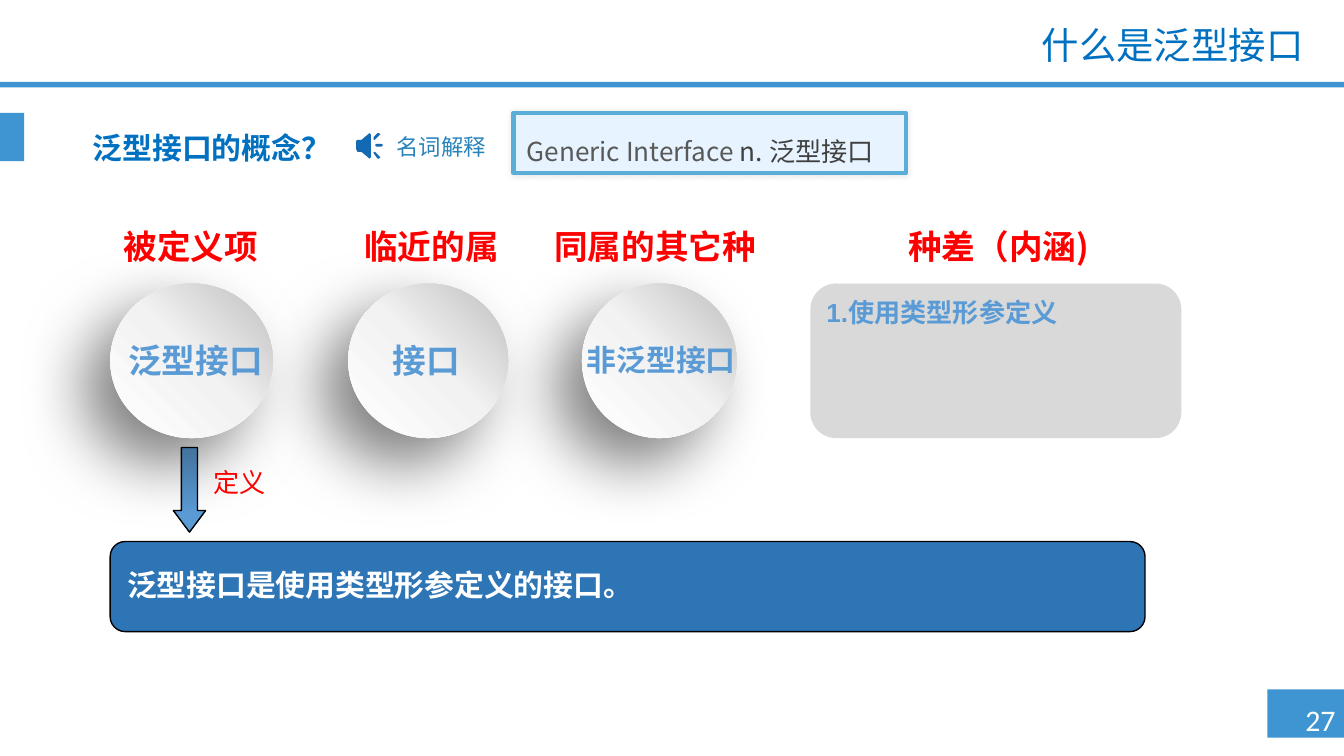
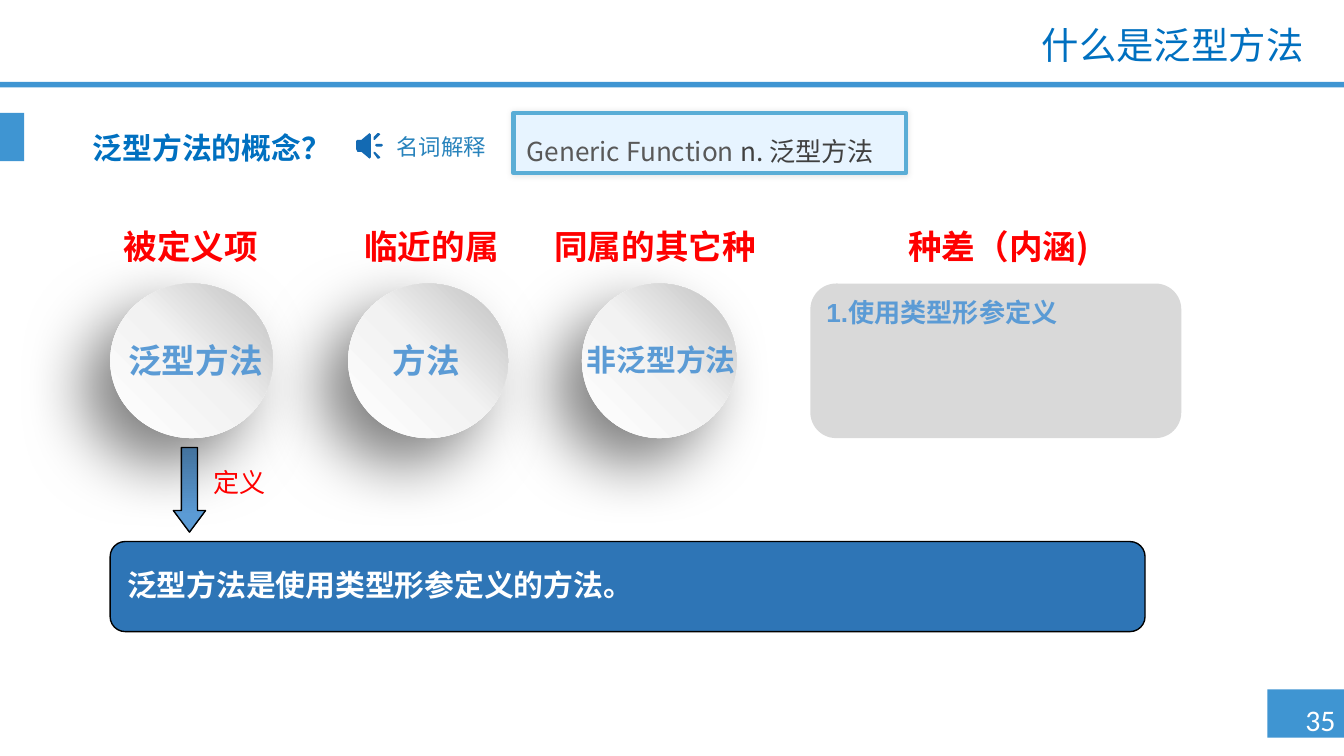
from dataclasses import dataclass
from typing import NamedTuple

from lxml import etree
from pptx import Presentation
from pptx.dml.color import RGBColor
from pptx.enum.shapes import MSO_SHAPE
from pptx.enum.text import MSO_ANCHOR, MSO_AUTO_SIZE, PP_ALIGN
from pptx.oxml.ns import qn
from pptx.util import Inches, Pt

RECT, ROUND = MSO_SHAPE.RECTANGLE, MSO_SHAPE.ROUNDED_RECTANGLE
OVAL, DOWN_ARROW = MSO_SHAPE.OVAL, MSO_SHAPE.DOWN_ARROW
LEFT, CENTER, RIGHT = PP_ALIGN.LEFT, PP_ALIGN.CENTER, PP_ALIGN.RIGHT
TOP, MIDDLE = MSO_ANCHOR.TOP, MSO_ANCHOR.MIDDLE
GROW = MSO_AUTO_SIZE.SHAPE_TO_FIT_TEXT


# Colours, fonts and type sizes
@dataclass(frozen=True)
class Theme:
    band: str = "3F95D2"
    title: str = "0070C0"
    heading: str = "FF0000"
    label: str = "5B9BD5"
    panel: str = "D9D9D9"
    answer: str = "2E75B6"
    icon: str = "136AB3"
    hint: str = "2883BC"
    glossary: str = "E7F4FF"
    glossary_line: str = "5AADD6"
    english: str = "595959"
    chinese: str = "404040"
    white: str = "FFFFFF"
    black: str = "000000"
    ball: tuple = ((0, "FFFFFF"), (51, "F2F2F2"), (100, "BFBFBF"))
    arrow: tuple = ((0, "43729D"), (80, "5B9BD5"), (100, "5B9BD5"))
    cjk: str = "Noto Sans CJK SC"
    number_font: str = "Calibri"
    label_font: str = "Arial"
    title_size: int = 20
    heading_size: int = 18
    text_size: int = 16
    small_size: int = 14
    hint_size: int = 12


T = Theme()


class Box(NamedTuple):
    left: float
    top: float
    width: float
    height: float

    def emu(self) -> list:
        return [Inches(v) for v in self]


class Style(NamedTuple):
    size: int
    color: str
    bold: bool = False
    font: str = T.cjk


class Shadow(NamedTuple):
    alpha: int
    blur: int
    distance: int
    angle: int


class Ball(NamedTuple):
    circle: Box
    label: Box
    prefix: str
    size: int


class Concept(NamedTuple):
    noun: str
    english: str
    page: int


TITLE = Style(T.title_size, T.title, font=T.number_font)
SUBTITLE = Style(T.text_size, T.title, True)
HEADING = Style(T.heading_size, T.heading, True)
DEFINE = Style(T.small_size, T.heading)
ANSWER = Style(T.text_size, T.white, True)
HINT = Style(T.hint_size, T.hint)
PAGE = Style(T.text_size, T.white, font=T.number_font)
FEATURE = Style(T.small_size, T.label, True, T.label_font)

BALL_SHADOW = Shadow(50, 35, 20, 135)
GLOSSARY_SHADOW = Shadow(10, 3, 0, 0)

BANDS = [Box(9.43, 5.13, 0.57, 0.36), Box(0, 0.61, 10, 0.04), Box(0, 0.84, 0.18, 0.36)]
HEADINGS = [
    ("被定义项", Box(0.74, 1.63, 1.36, 0.4)),
    ("临近的属", Box(2.45, 1.63, 1.52, 0.4)),
    ("种差（内涵)", Box(6.46, 1.63, 1.94, 0.4)),
    ("同属的其它种", Box(4.01, 1.63, 1.73, 0.4)),
]
BALLS = [
    Ball(Box(0.82, 2.11, 1.21, 1.15), Box(0.82, 2.48, 1.27, 0.4), "泛型", T.heading_size),
    Ball(Box(2.59, 2.11, 1.19, 1.15), Box(2.74, 2.48, 0.86, 0.4), "", T.heading_size),
    Ball(Box(4.33, 2.11, 1.15, 1.15), Box(4.21, 2.49, 1.42, 0.37), "非泛型", T.text_size),
]
# Loudspeaker outlines in hundredths of an inch: body, then three sound waves
SPEAKER = [
    [(275, 99), (269, 104), (266, 104), (265, 105), (265, 111), (266, 113),
     (269, 113), (275, 118), (276, 117), (276, 100)],
    [(284, 107), (280, 107), (279, 108), (280, 109), (284, 109), (285, 108)],
    [(278, 104), (279, 104), (283, 100), (282, 99), (281, 99), (278, 102)],
    [(279, 113), (278, 113), (278, 114), (281, 118), (282, 118), (283, 117)],
]
CONCEPTS = [
    Concept("接口", "Generic Interface", 27),
    Concept("方法", "Generic Function", 35),
]


# Text helpers
def format_run(r, style: Style) -> None:
    r.font.size, r.font.bold, r.font.name = Pt(style.size), style.bold, style.font
    r.font.color.rgb = RGBColor.from_string(style.color)
    etree.SubElement(r._r.get_or_add_rPr(), qn("a:ea"), typeface=T.cjk)


def write(sp, text: str, style: Style, align=LEFT, anchor=TOP, spacing: float = 1.0):
    tf = sp.text_frame
    tf.text = text
    tf.word_wrap = True
    tf.vertical_anchor = anchor
    p = tf.paragraphs[0]
    p.alignment, p.line_spacing = align, spacing
    format_run(p.runs[0], style)
    return tf


def add_text(shapes, box: Box, text: str, style: Style, align=CENTER):
    tf = write(shapes.add_textbox(*box.emu()), text, style, align)
    tf.auto_size = GROW
    return tf


# Shape helpers
def paint(sp, fill: str = "", line: str = "", width: float = 0.75) -> None:
    sp.shadow.inherit = False
    if fill:
        sp.fill.solid()
        sp.fill.fore_color.rgb = RGBColor.from_string(fill)
    else:
        sp.fill.background()
    if line:
        sp.line.color.rgb = RGBColor.from_string(line)
        sp.line.width = Pt(width)
    else:
        sp.line.fill.background()


def add_shape(shapes, kind, box: Box, fill: str = "", line: str = "", width: float = 0.75):
    sp = shapes.add_shape(kind, *box.emu())
    paint(sp, fill, line, width)
    return sp


def set_gradient(sp, stops: tuple, angle: int) -> None:
    sp.fill.gradient()
    sp.fill.gradient_angle = angle
    stop_list = sp._element.spPr.find(qn("a:gradFill")).find(qn("a:gsLst"))
    for stop in list(stop_list):
        stop_list.remove(stop)
    for position, color in stops:
        gs = etree.SubElement(stop_list, qn("a:gs"), pos=str(position * 1000))
        etree.SubElement(gs, qn("a:srgbClr"), val=color)


def set_shadow(sp, shadow: Shadow) -> None:
    effects = sp._element.spPr.find(qn("a:effectLst"))
    outer = etree.SubElement(
        effects, qn("a:outerShdw"), blurRad=str(Pt(shadow.blur)),
        dist=str(Pt(shadow.distance)), dir=str(shadow.angle * 60000))
    color = etree.SubElement(outer, qn("a:srgbClr"), val=T.black)
    etree.SubElement(color, qn("a:alpha"), val=str(shadow.alpha * 1000))


# Parts of the slide
def add_frame(s, concept: Concept) -> None:
    for band in BANDS:
        add_shape(s.shapes, RECT, band, T.band)
    tf = add_text(s.shapes, Box(9.59, 5.17, 0.52, 0.37), f"{concept.page} ", PAGE)
    tf.word_wrap = False


def add_titles(s, concept: Concept) -> None:
    title, subtitle = s.shapes.title, s.placeholders[1]
    for sp, box in ((title, Box(2.4, 0.15, 7.4, 0.4)), (subtitle, Box(0.59, 0.92, 2.1, 0.39))):
        sp.left, sp.top, sp.width, sp.height = box.emu()
    write(title, f"什么是泛型{concept.noun}", TITLE, RIGHT, MIDDLE, 0.9)
    tf = write(subtitle, f"泛型{concept.noun}的概念？", SUBTITLE, LEFT, MIDDLE, 0.9)
    tf.paragraphs[0].space_before = Pt(10)


def add_glossary(s, concept: Concept) -> None:
    tf = add_text(s.shapes, Box(2.95, 0.99, 0.67, 0.2), "名词解释", HINT, LEFT)
    tf.word_wrap = False
    tf.margin_left = tf.margin_top = tf.margin_right = tf.margin_bottom = 0

    builder = s.shapes.build_freeform(*SPEAKER[0][0], scale=Inches(0.01))
    for i, outline in enumerate(SPEAKER):
        if i:
            builder.move_to(*outline[0])
        builder.add_line_segments(outline[1:], close=True)
    paint(builder.convert_to_shape(), T.icon)

    sp = add_shape(s.shapes, RECT, Box(3.82, 0.84, 2.92, 0.45),
                   T.glossary, T.glossary_line, 2.25)
    set_shadow(sp, GLOSSARY_SHADOW)
    tf = write(sp, f"{concept.english} ", Style(T.small_size, T.english), LEFT, MIDDLE, 1.5)
    p = tf.paragraphs[0]
    pPr = p._p.get_or_add_pPr()
    pPr.set("marL", str(Inches(0.25)))
    pPr.set("indent", str(-Inches(0.25)))
    r = p.add_run()
    r.text = f"n. 泛型{concept.noun}"
    format_run(r, Style(T.small_size, T.chinese))


def add_analysis(s, concept: Concept) -> None:
    for text, box in HEADINGS:
        add_text(s.shapes, box, text, HEADING)
    for ball in BALLS:
        shapes = s.shapes.add_group_shape().shapes
        sp = add_shape(shapes, OVAL, ball.circle)
        set_gradient(sp, T.ball, 45)
        set_shadow(sp, BALL_SHADOW)
        add_text(shapes, ball.label, ball.prefix + concept.noun,
                 Style(ball.size, T.label, True, T.label_font))
    shapes = s.shapes.add_group_shape().shapes
    add_shape(shapes, ROUND, Box(6.03, 2.11, 2.76, 1.15), T.panel)
    add_text(shapes, Box(6.05, 2.16, 2.72, 0.34), "1.使用类型形参定义", FEATURE, LEFT)


def add_definition(s, concept: Concept) -> None:
    shapes = s.shapes.add_group_shape().shapes
    arrow = add_shape(shapes, DOWN_ARROW, Box(1.29, 3.33, 0.24, 0.63), T.label, T.black)
    arrow.adjustments[0], arrow.adjustments[1] = 0.5, 0.67
    set_gradient(arrow, T.arrow, 270)
    add_text(shapes, Box(1.37, 3.42, 0.82, 0.34), "定义", DEFINE)

    shapes = s.shapes.add_group_shape().shapes
    add_shape(shapes, ROUND, Box(0.82, 4.03, 7.7, 0.67), T.answer, T.black)
    sp = add_shape(shapes, ROUND, Box(0.83, 4.19, 7.62, 0.35))
    tf = write(sp, f"泛型{concept.noun}是使用类型形参定义的{concept.noun}。",
               ANSWER, LEFT, MIDDLE, 0.9)
    tf.paragraphs[0].space_before = Pt(10)


def main() -> None:
    prs = Presentation()
    prs.slide_width = Inches(10)
    prs.slide_height = prs.slide_width * 9 // 16
    for concept in CONCEPTS:
        s = prs.slides.add_slide(prs.slide_layouts[0])
        for add_part in (add_frame, add_titles, add_analysis, add_definition, add_glossary):
            add_part(s, concept)
    prs.save("out.pptx")


if __name__ == "__main__":
    main()
